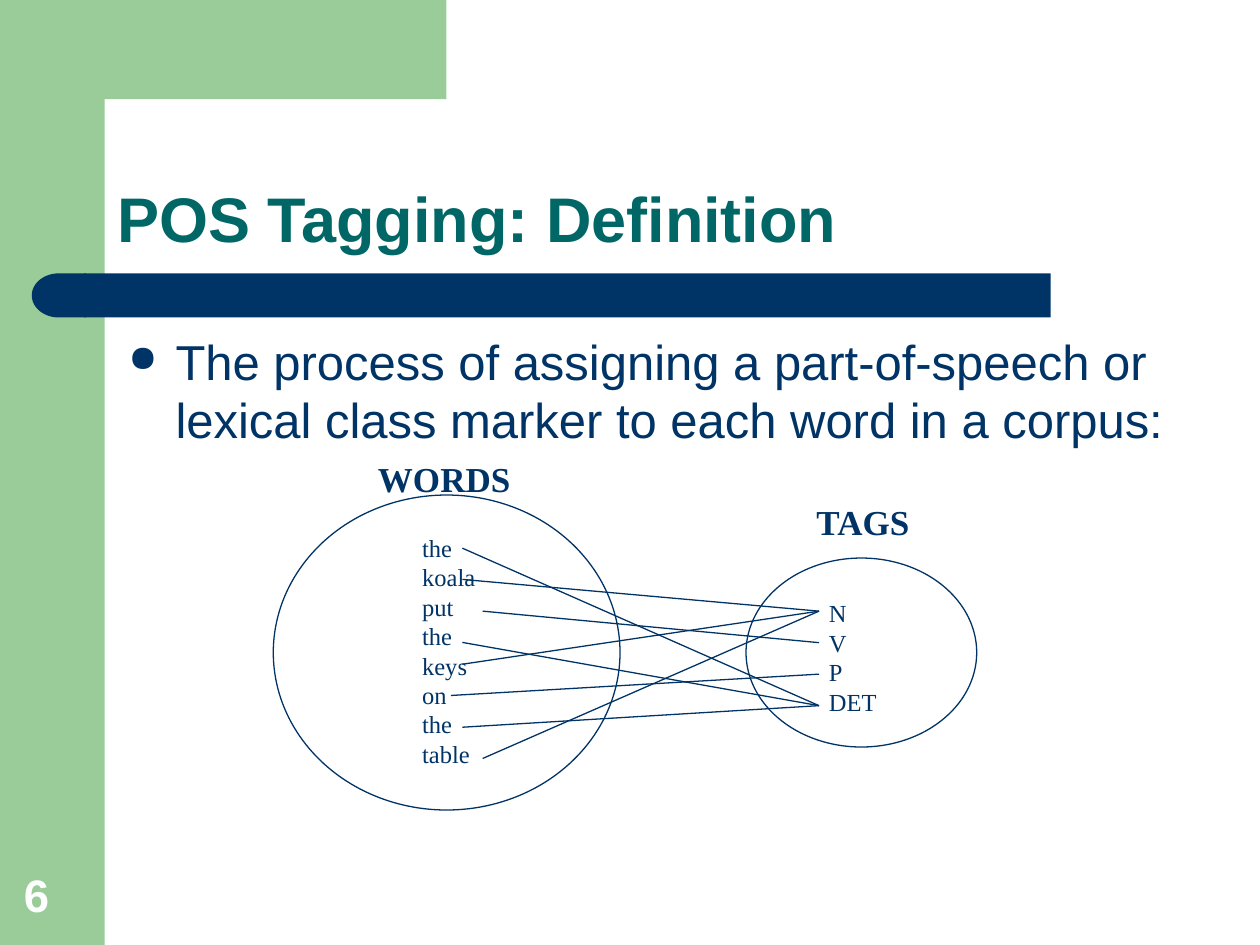
from lxml import etree
from pptx import Presentation
from pptx.dml.color import RGBColor
from pptx.enum.shapes import MSO_CONNECTOR, MSO_SHAPE
from pptx.enum.text import MSO_ANCHOR, MSO_AUTO_SIZE, PP_ALIGN
from pptx.oxml.ns import qn
from pptx.util import Cm, Pt

RECT, OVAL, DELAY = MSO_SHAPE.RECTANGLE, MSO_SHAPE.OVAL, MSO_SHAPE.FLOWCHART_DELAY
STRAIGHT = MSO_CONNECTOR.STRAIGHT
BOTTOM, TOP = MSO_ANCHOR.BOTTOM, MSO_ANCHOR.TOP
LEFT, NO_FIT = PP_ALIGN.LEFT, MSO_AUTO_SIZE.NONE
GREEN = RGBColor(0x99, 0xCC, 0x99)
NAVY = RGBColor(0x00, 0x33, 0x66)
TEAL = RGBColor(0x00, 0x66, 0x66)
WHITE = RGBColor(0xFF, 0xFF, 0xFF)
SANS, SERIF = "Arial", "Times New Roman"

TITLE = "POS Tagging: Definition"
BODY = "The process of assigning a part-of-speech or lexical class marker to each word in a corpus:"
PAGE = "6"
WORDS = [
    ("the", "DET", 9.32, 11.05),
    ("koala", "N", 9.32, 11.68),
    ("put", "V", 9.73, 12.32),
    ("the", "DET", 9.32, 12.95),
    ("keys", "N", 9.32, 13.39),
    ("on", "P", 9.09, 14.02),
    ("the", "DET", 9.32, 14.66),
    ("table", "N", 9.73, 15.29),
]
TAGS = ["N", "V", "P", "DET"]
TAG_X, TAG_Y, TAG_STEP = 16.51, 12.32, 0.635
CORNER = [(8.89, 0), (8.89, 2.11), (2.95, 2.13), (2.82, 2.11), (2.62, 2.16), (2.36, 2.34),
          (2.18, 2.64), (2.13, 2.95), (2.11, 3.25), (1.27, 3.25), (1.27, 0)]


def place(sp, box):
    sp.left, sp.top, sp.width, sp.height = map(Cm, box)


def fill_plain(sp, color):
    sp.shadow.inherit = False
    sp.fill.solid()
    sp.fill.fore_color.rgb = color
    sp.line.fill.background()


def add_block(s, kind, box, color):
    sp = s.shapes.add_shape(kind, *map(Cm, box))
    fill_plain(sp, color)
    return sp


def add_oval(s, box):
    sp = s.shapes.add_shape(OVAL, *map(Cm, box))
    sp.shadow.inherit = False
    sp.fill.background()
    sp.line.color.rgb = NAVY
    sp.line.width = Pt(0.75)


def write(sp, lines, size, font, color, bold=False, wrap=True, anchor=TOP):
    tf = sp.text_frame
    tf.text = "\n".join(lines)
    tf.word_wrap = wrap
    tf.auto_size = NO_FIT
    tf.vertical_anchor = anchor
    for p in tf.paragraphs:
        p.alignment = LEFT
        p.font.size, p.font.name, p.font.bold = Pt(size), font, bold
        p.font.color.rgb = color
    return tf.paragraphs[0]


def add_text(s, box, *args, **kwargs):
    return write(s.shapes.add_textbox(*map(Cm, box)), *args, **kwargs)


def add_bullet(p):
    pPr = p._p.get_or_add_pPr()
    pPr.set("marL", str(Cm(0.95)))
    pPr.set("indent", str(-Cm(0.95)))
    size = etree.Element(qn("a:buSzPct"), val="75000")
    char = etree.Element(qn("a:buChar"), char="●")
    pPr.insert_element_before(size, "a:tabLst", "a:defRPr", "a:extLst")
    pPr.insert_element_before(char, "a:tabLst", "a:defRPr", "a:extLst")


def add_link(s, x1, y1, x2, y2):
    line = s.shapes.add_connector(STRAIGHT, *map(Cm, (x1, y1, x2, y2)))
    line.line.color.rgb = NAVY
    line.line.width = Pt(0.75)
    etree.SubElement(line._element.spPr, qn("a:effectLst"))


def main():
    prs = Presentation()
    prs.slide_width, prs.slide_height = Cm(25.4), Cm(19.05)
    s = prs.slides.add_slide(prs.slide_layouts[5])

    add_block(s, RECT, (0, 0, 2.11, 19.05), GREEN)
    builder = s.shapes.build_freeform(*CORNER[0], scale=Cm(1))
    builder.add_line_segments(CORNER[1:])
    fill_plain(builder.convert_to_shape(), GREEN)
    add_block(s, RECT, (1.7, 5.51, 19.48, 0.89), NAVY)
    add_block(s, DELAY, (0.64, 5.51, 1.09, 0.89), NAVY).rotation = 180

    title = s.shapes.title
    place(title, (2.11, 2.11, 22.02, 3.18))
    write(title, [TITLE], 36, SANS, TEAL, bold=True, anchor=BOTTOM).line_spacing = 0.9

    p = add_text(s, (2.34, 6.55, 21.4, 10.34), [BODY], 28, SANS, NAVY)
    p.space_before = Pt(7)
    add_bullet(p)

    add_text(s, (8.26, 10.62, 1.57, 5), [w[0] for w in WORDS], 14, SERIF, NAVY, wrap=False)
    add_oval(s, (5.51, 9.98, 6.99, 6.35))
    add_text(s, (7.37, 9.09, 3.18, 1.12), ["WORDS"], 20, SERIF, NAVY, bold=True, wrap=False)
    add_oval(s, (15.04, 11.25, 4.65, 3.81))
    add_text(s, (16.21, 9.96, 2.44, 1.12), ["TAGS"], 20, SERIF, NAVY, bold=True, wrap=False)
    add_text(s, (16.46, 11.94, 1.47, 2.64), TAGS, 14, SERIF, NAVY, wrap=False)
    for _, tag, x, y in WORDS:
        add_link(s, x, y, TAG_X, TAG_Y + TAG_STEP * TAGS.index(tag))

    add_text(s, (0.23, 17.35, 1.63, 1.35), [PAGE], 26, SANS, WHITE, bold=True, anchor=BOTTOM)
    prs.save("out.pptx")


if __name__ == "__main__":
    main()
